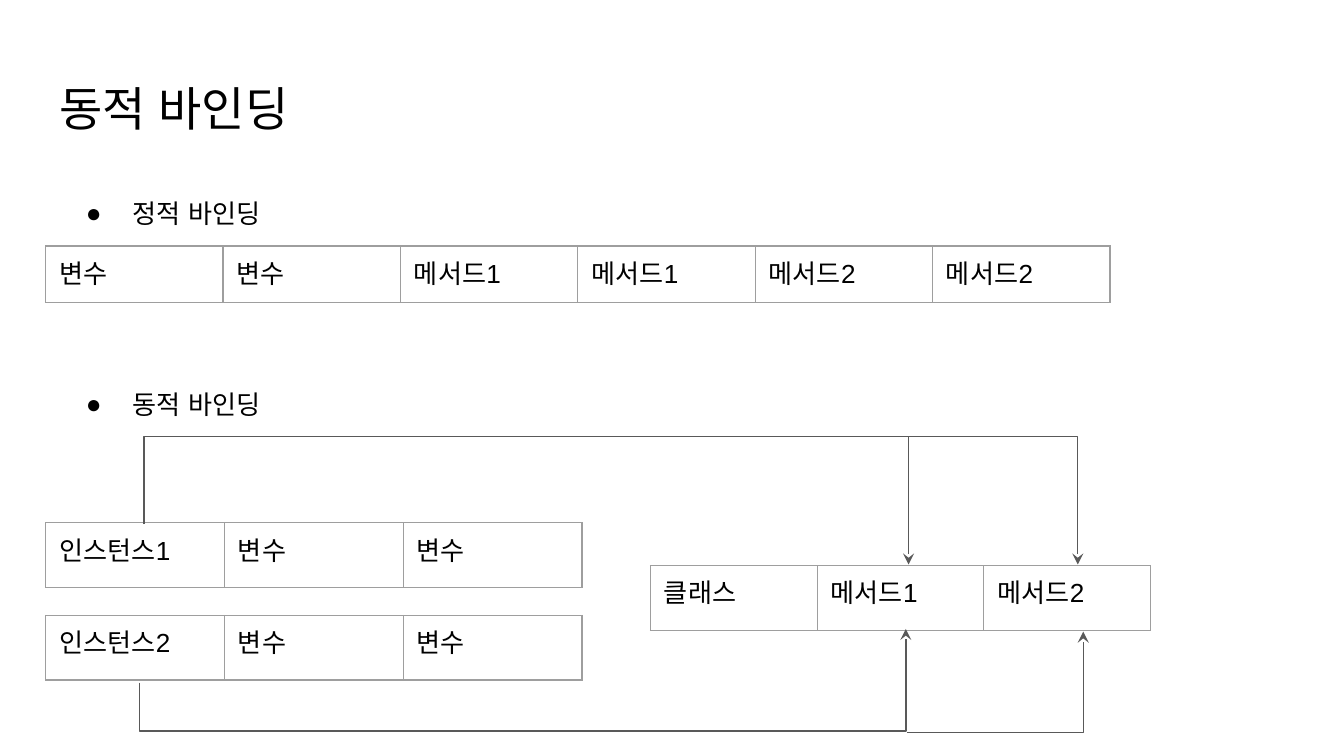
from lxml.etree import SubElement
from pptx import Presentation
from pptx.dml.color import RGBColor
from pptx.enum.text import MSO_ANCHOR as Anchor, MSO_AUTO_SIZE as AutoSize, PP_ALIGN as Align
from pptx.oxml.ns import qn
from pptx.util import Inches, Pt

FONT = "Arial"
BLACK, BORDER, ARROW = "000000", "9E9E9E", "595959"

TITLE = "동적 바인딩"
HEADINGS = [("동적 바인딩", 2.79), ("정적 바인딩", 1.37)]
TABLES = [
    (0.34, 1.83, 1.32, 0.42, ["변수", "변수", "메서드1", "메서드1", "메서드2", "메서드2"]),
    (0.34, 3.89, 1.33, 0.48, ["인스턴스1", "변수", "변수"]),
    (0.34, 4.58, 1.33, 0.48, ["인스턴스2", "변수", "변수"]),
    (4.84, 4.21, 1.24, 0.48, ["클래스", "메서드1", "메서드2"]),
]
ARROWS = [
    [(1.07, 3.9), (1.07, 3.25), (6.76, 3.25), (6.76, 4.2)],
    [(1.04, 5.08), (1.04, 5.44), (6.74, 5.44), (6.74, 4.68)],
    [(6.76, 3.25), (8.02, 3.25), (8.02, 4.2)],
    [(6.75, 5.45), (8.06, 5.45), (8.06, 4.7)],
]


def color(hex_value):
    return RGBColor.from_string(hex_value)


def write_text(frame, text, size=14, bullet=None):
    frame.word_wrap = True
    frame.margin_left = frame.margin_right = Inches(0.1)
    frame.margin_top = frame.margin_bottom = Inches(0.1)
    paragraph = frame.paragraphs[0]
    paragraph.alignment = Align.LEFT
    run = paragraph.add_run()
    run.text = text
    run.font.size = Pt(size)
    run.font.bold = False
    run.font.color.rgb = color(BLACK)
    run.font.name = FONT
    for script in ("a:ea", "a:cs"):
        SubElement(run._r.get_or_add_rPr(), qn(script), typeface=FONT)
    if bullet:
        properties = paragraph._p.get_or_add_pPr()
        properties.set("marL", str(Inches(0.5)))
        properties.set("indent", str(Inches(-0.35)))
        bullet_color = SubElement(properties, qn("a:buClr"))
        SubElement(bullet_color, qn("a:srgbClr"), val=BLACK)
        SubElement(properties, qn("a:buFont"), typeface=FONT)
        SubElement(properties, qn("a:buChar"), char=bullet)


def add_title(slide):
    title = slide.shapes.title
    title.left, title.top = Inches(0.34), Inches(0.49)
    title.width, title.height = Inches(9.32), Inches(0.63)
    title.text_frame.auto_size = AutoSize.NONE
    title.text_frame.vertical_anchor = Anchor.TOP
    write_text(title.text_frame, TITLE, size=25.2)


def add_heading(slide, text, top):
    box = slide.shapes.add_textbox(Inches(0.39), Inches(top), Inches(5.04), Inches(0.44))
    write_text(box.text_frame, text, bullet="●")
    box.text_frame.auto_size = AutoSize.SHAPE_TO_FIT_TEXT


def border_cell(cell):
    properties = cell._tc.get_or_add_tcPr()
    for side in ("a:lnL", "a:lnR", "a:lnT", "a:lnB"):
        line = SubElement(properties, qn(side), w=str(Pt(0.75)))
        fill = SubElement(line, qn("a:solidFill"))
        SubElement(fill, qn("a:srgbClr"), val=BORDER)


def add_row_table(slide, left, top, column_width, row_height, labels):
    frame = slide.shapes.add_table(
        1, len(labels), Inches(left), Inches(top),
        Inches(column_width * len(labels)), Inches(row_height))
    table = frame.table
    table.first_row = table.horz_banding = False
    for column, cell, label in zip(table.columns, table.rows[0].cells, labels):
        column.width = Inches(column_width)
        write_text(cell.text_frame, label)
        cell.margin_left = cell.margin_right = Inches(0.1)
        cell.margin_top = cell.margin_bottom = Inches(0.1)
        border_cell(cell)
        cell.fill.background()


def add_arrow(slide, points):
    start, *rest = [(Inches(x), Inches(y)) for x, y in points]
    builder = slide.shapes.build_freeform(*start)
    builder.add_line_segments(rest, close=False)
    arrow = builder.convert_to_shape()
    arrow.shadow.inherit = False
    arrow.fill.background()
    arrow.line.color.rgb = color(ARROW)
    arrow.line.width = Pt(0.75)
    line = arrow.element.spPr.find(qn("a:ln"))
    SubElement(line, qn("a:round"))
    SubElement(line, qn("a:tailEnd"), type="stealth", w="med", len="med")


def main():
    presentation = Presentation()
    presentation.slide_width = Inches(10)
    presentation.slide_height = presentation.slide_width * 9 // 16
    slide = presentation.slides.add_slide(presentation.slide_layouts[5])
    add_title(slide)
    for table in TABLES:
        add_row_table(slide, *table)
    for points in ARROWS:
        add_arrow(slide, points)
    for heading in HEADINGS:
        add_heading(slide, *heading)
    presentation.save("out.pptx")


if __name__ == "__main__":
    main()
